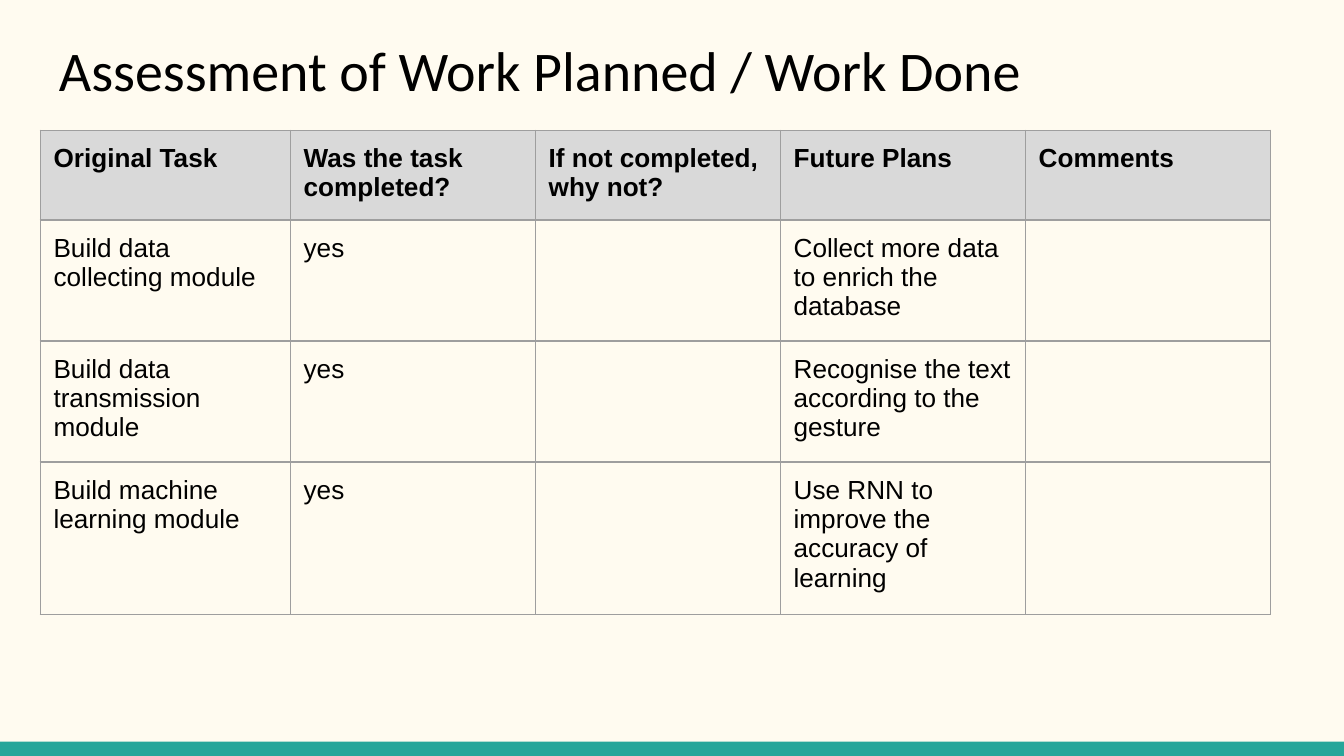
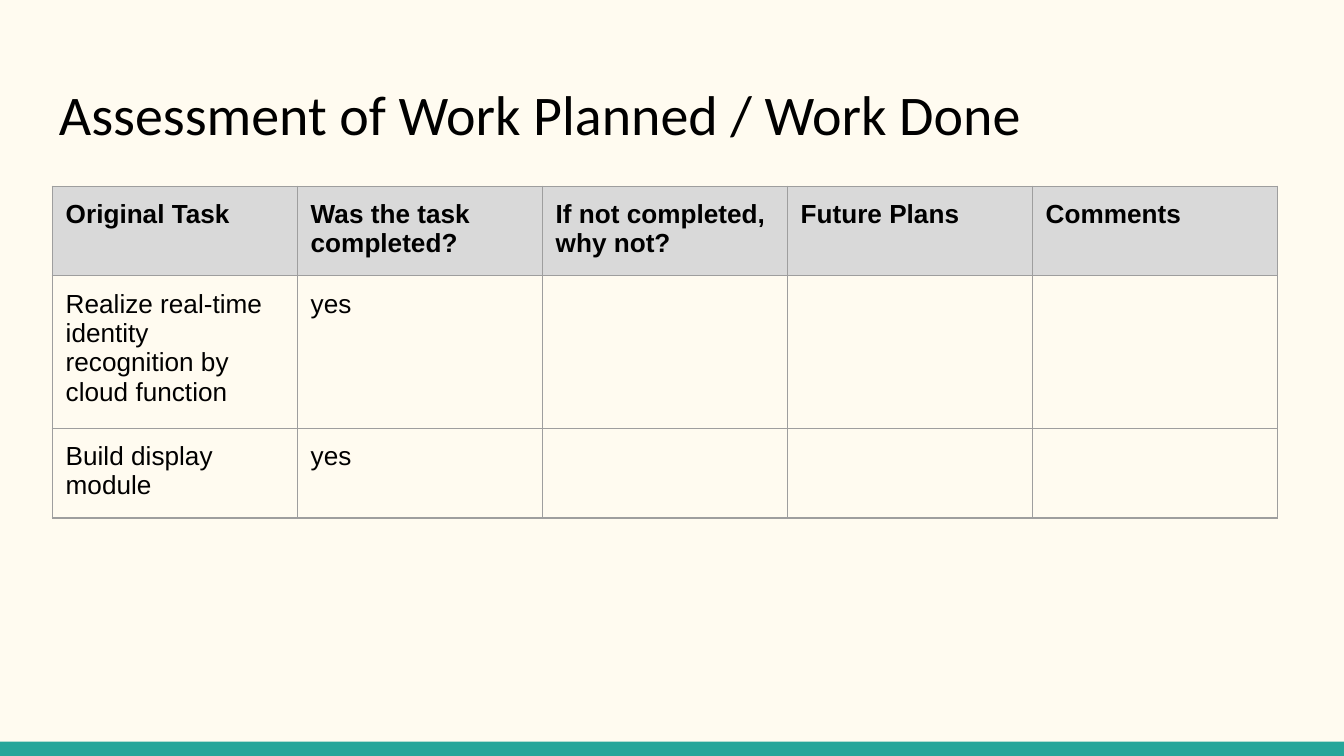
from dataclasses import dataclass

import lxml.etree
import pptx
import pptx.dml.color
import pptx.enum.shapes
import pptx.enum.text
import pptx.oxml.ns
import pptx.util

Pt = pptx.util.Pt


@dataclass(frozen=True)
class Theme:
    background: str = "FFFBF0"
    footer: str = "26A69A"
    header: str = "D9D9D9"
    border: str = "9E9E9E"
    text: str = "000000"
    title_font: str = "Calibri"
    table_font: str = "Arial"
    title_size: float = 30
    table_size: float = 14
    border_width: float = 0.75
    inset: float = 7.2


THEME = Theme()
SLIDE_WIDTH, SLIDE_HEIGHT = 720, 405
FOOTER_HEIGHT = 7.7
TITLE = "Assessment of Work Planned / Work Done"
HEADINGS = ["Original Task", "Was the task completed?",
            "If not completed, why not?", "Future Plans", "Comments"]
COLUMN_WIDTH = 131.25
BODY_ROW_HEIGHT = 39


def color(value):
    return pptx.dml.color.RGBColor.from_string(value)


def paint(fill, value):
    fill.solid()
    fill.fore_color.rgb = color(value)


def format_text(text_frame, font_name, size, bold=False):
    for paragraph in text_frame.paragraphs:
        for run in paragraph.runs:
            run.font.name = font_name
            run.font.size = Pt(size)
            run.font.bold = bold
            run.font.color.rgb = color(THEME.text)


def set_insets(target):
    target.margin_left = target.margin_right = Pt(THEME.inset)
    target.margin_top = target.margin_bottom = Pt(THEME.inset)


def set_borders(cell):
    """Draw all four sides; the border elements must precede the cell fill."""
    properties = cell._tc.get_or_add_tcPr()
    qn = pptx.oxml.ns.qn
    for index, side in enumerate(("lnL", "lnR", "lnT", "lnB")):
        line = lxml.etree.Element(qn(f"a:{side}"), w=str(Pt(THEME.border_width)))
        fill = lxml.etree.SubElement(line, qn("a:solidFill"))
        lxml.etree.SubElement(fill, qn("a:srgbClr"), val=THEME.border)
        properties.insert(index, line)


def add_footer(slide, left, top, width, height):
    bar = slide.shapes.add_shape(pptx.enum.shapes.MSO_SHAPE.RECTANGLE,
                                 Pt(left), Pt(top), Pt(width), Pt(height))
    bar.shadow.inherit = False
    paint(bar.fill, THEME.footer)
    bar.line.fill.background()


def add_title(slide, left, top, width, height):
    box = slide.shapes.add_textbox(Pt(left), Pt(top), Pt(width), Pt(height))
    text_frame = box.text_frame
    text_frame.word_wrap = True
    text_frame.vertical_anchor = pptx.enum.text.MSO_ANCHOR.TOP
    set_insets(text_frame)
    text_frame.text = TITLE
    format_text(text_frame, THEME.title_font, THEME.title_size)


def fill_cell(cell, text, is_header):
    set_insets(cell)
    cell.text_frame.text = text
    format_text(cell.text_frame, THEME.table_font, THEME.table_size, is_header)
    if is_header:
        paint(cell.fill, THEME.header)
    else:
        cell.fill.background()
    set_borders(cell)


def add_task_table(slide, left, top, first_width, header_height, tasks):
    """Rows start at their least height and grow with their text."""
    rows = [HEADINGS] + tasks
    widths = [first_width] + [COLUMN_WIDTH] * (len(HEADINGS) - 1)
    heights = [header_height] + [BODY_ROW_HEIGHT] * len(tasks)
    table = slide.shapes.add_table(len(rows), len(widths), Pt(left), Pt(top),
                                   Pt(sum(widths)), Pt(sum(heights))).table
    table.horz_banding = False
    for column, width in zip(table.columns, widths):
        column.width = Pt(width)
    for row_index, (row, height) in enumerate(zip(table.rows, heights)):
        row.height = Pt(height)
        for cell, text in zip(row.cells, rows[row_index]):
            fill_cell(cell, text, row_index == 0)


def add_assessment_slide(presentation, title_top, **table):
    slide = presentation.slides.add_slide(presentation.slide_layouts[6])
    paint(slide.background.fill, THEME.background)
    add_footer(slide, 0, SLIDE_HEIGHT - FOOTER_HEIGHT, SLIDE_WIDTH, FOOTER_HEIGHT)
    add_title(slide, 24.5, title_top, 671, 48.2)
    add_task_table(slide, **table)


def main():
    presentation = pptx.Presentation()
    presentation.slide_width = Pt(SLIDE_WIDTH)
    presentation.slide_height = Pt(SLIDE_HEIGHT)
    add_assessment_slide(
        presentation, title_top=11.7,
        left=21.5, top=69.75, first_width=134, header_height=19,
        tasks=[
            ["Build data collecting module", "yes", "",
             "Collect more data to enrich the database", ""],
            ["Build data transmission module", "yes", "",
             "Recognise the text according to the gesture", ""],
            ["Build machine learning module", "yes", "",
             "Use RNN to improve the accuracy of learning", ""],
        ])
    add_assessment_slide(
        presentation, title_top=35.3,
        left=28, top=99.75, first_width=COLUMN_WIDTH, header_height=35,
        tasks=[
            ["Realize real-time identity recognition by cloud function",
             "yes", "", "", ""],
            ["Build display module", "yes", "", "", ""],
        ])
    presentation.save("out.pptx")


if __name__ == "__main__":
    main()
